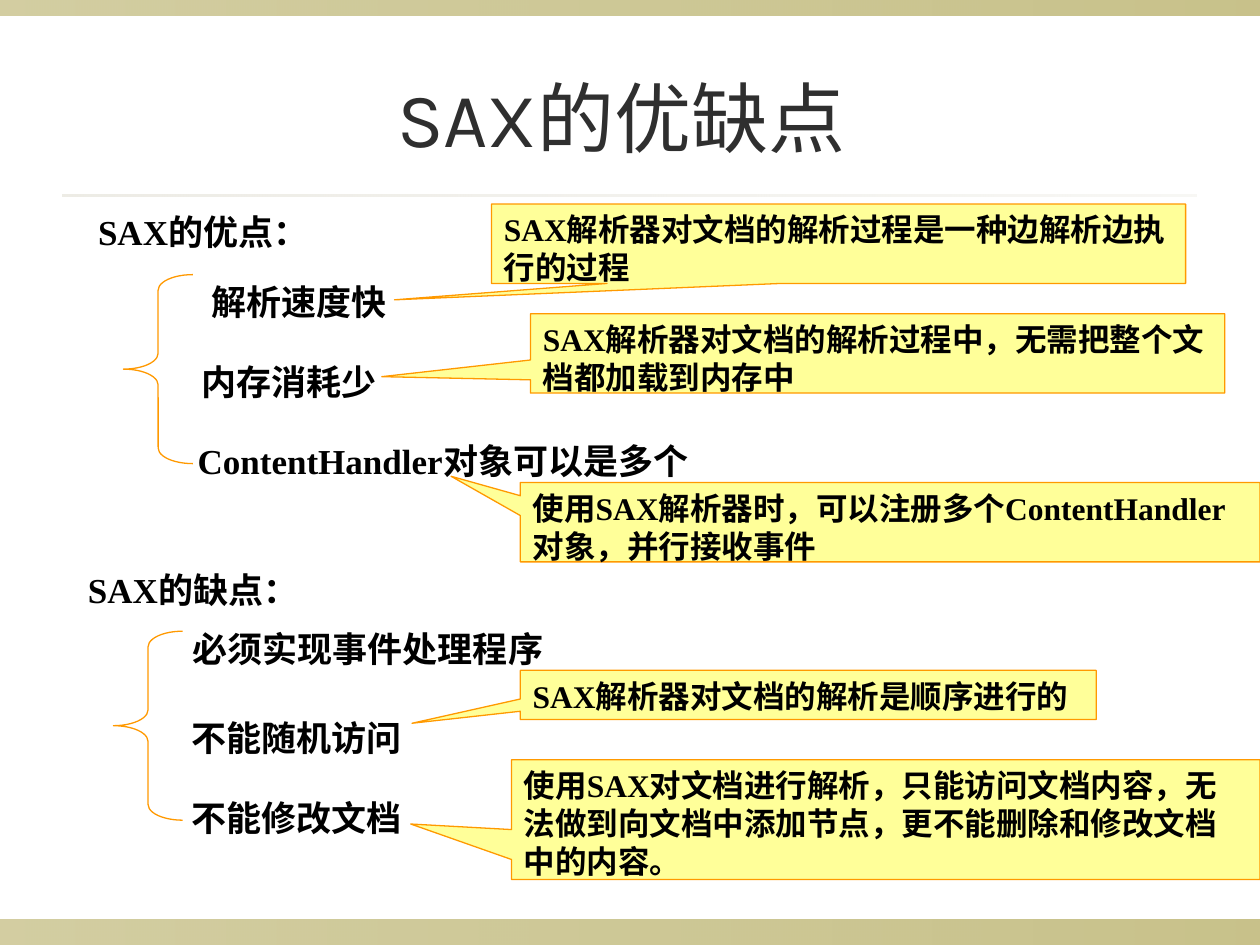
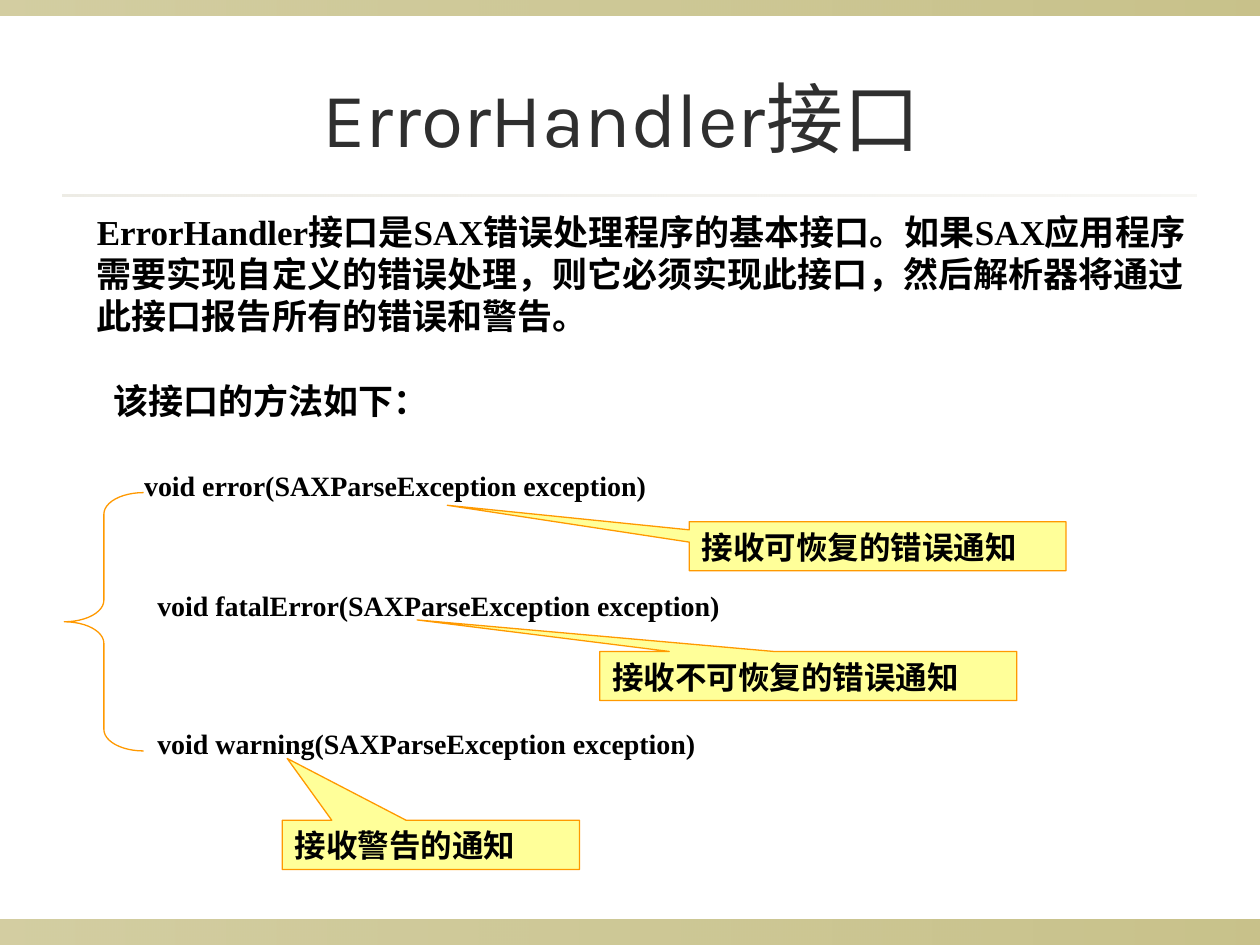
from lxml.etree import SubElement
from pptx import Presentation
from pptx.dml.color import RGBColor
from pptx.enum.shapes import MSO_SHAPE as Shape
from pptx.enum.text import MSO_ANCHOR as Anchor, MSO_AUTO_SIZE as AutoSize, PP_ALIGN as Align
from pptx.oxml.ns import qn
from pptx.util import Inches, Pt

# Shared look
GOLD, RULE, TITLE_INK, INK = "918415", "DCD9CC", "2F2F2F", "000000"
NOTE_FILL, NOTE_LINE = "FFFF99", "FF9900"
TITLE_FONT = {"name": "Karla", "size": Pt(44), "bold": False}
LABEL_FONT = {"name": "Times New Roman", "size": Pt(20), "bold": True}
CODE_FONT = {**LABEL_FONT, "size": Pt(16)}
NOTE_FONT = {**LABEL_FONT, "size": Pt(18)}
LABEL_FRAME = {"word_wrap": False, "auto_size": AutoSize.SHAPE_TO_FIT_TEXT}
PARAGRAPH_FRAME = {**LABEL_FRAME, "word_wrap": True}
NOTE_FRAME = {"word_wrap": True, "vertical_anchor": Anchor.TOP}
TITLE_FRAME = {"word_wrap": True, "vertical_anchor": Anchor.MIDDLE}


def paint(color, value):
    color.rgb = RGBColor.from_string(value)


def write(box, text, font, frame, ink=INK, align=Align.LEFT):
    for name, value in frame.items():
        setattr(box.text_frame, name, value)
    para = box.text_frame.paragraphs[0]
    para.alignment = align
    span = para.add_run()
    span.text = text
    for name, value in font.items():
        setattr(span.font, name, value)
    paint(span.font.color, ink)


# Slide content: labels (left, top, width, text, font, frame),
# braces (left, top, width, height),
# notes (left, top, width, height, tip x, tip y, text)
slides = [
    {
        "title": "SAX的优缺点 ",
        "labels": [
            (0.68, 1.62, 2.07, "SAX的优点：", LABEL_FONT, LABEL_FRAME),
            (1.58, 2.18, 1.73, "解析速度快", LABEL_FONT, LABEL_FRAME),
            (1.5, 2.81, 1.73, "内存消耗少", LABEL_FONT, LABEL_FRAME),
            (1.47, 3.44, 4.3, "ContentHandler对象可以是多个", LABEL_FONT, LABEL_FRAME),
            (0.6, 4.46, 2.07, "SAX的缺点：", LABEL_FONT, LABEL_FRAME),
            (1.43, 4.93, 3.12, "必须实现事件处理程序", LABEL_FONT, LABEL_FRAME),
            (1.42, 5.64, 2.01, "不能随机访问", LABEL_FONT, LABEL_FRAME),
            (1.42, 6.27, 2.01, "不能修改文档", LABEL_FONT, LABEL_FRAME),
        ],
        "braces": [(0.98, 2.18, 0.55, 1.5), (0.9, 5.01, 0.55, 1.5)],
        "notes": [
            (3.9, 1.62, 5.51, 0.63, 3.13, 2.38, "SAX解析器对文档的解析过程是一种边解析边执行的过程"),
            (4.21, 2.49, 5.51, 0.63, 3.03, 2.99, "SAX解析器对文档的解析过程中，无需把整个文档都加载到内存中"),
            (4.13, 3.83, 5.87, 0.63, 3.58, 3.78, "使用SAX解析器时，可以注册多个ContentHandler对象，并行接收事件"),
            (4.13, 5.32, 4.57, 0.39, 3.27, 5.74, "SAX解析器对文档的解析是顺序进行的"),
            (4.06, 6.03, 5.94, 0.95, 3.26, 6.54,
             "使用SAX对文档进行解析，只能访问文档内容，无法做到向文档中添加节点，更不能删除和修改文档中的内容。"),
        ],
    },
    {
        "title": "ErrorHandler接口 ",
        "labels": [
            (0.67, 1.62, 8.9,
             "ErrorHandler接口是SAX错误处理程序的基本接口。如果SAX应用程序需要实现自定义的错误处理，"
             "则它必须实现此接口，然后解析器将通过此接口报告所有的错误和警告。",
             LABEL_FONT, PARAGRAPH_FRAME),
            (0.8, 2.96, 2.84, "该接口的方法如下：", LABEL_FONT, LABEL_FRAME),
            (0.99, 3.67, 4.3, " void error(SAXParseException exception)", CODE_FONT, LABEL_FRAME),
            (1.15, 4.62, 4.72, "void fatalError(SAXParseException exception)", CODE_FONT, LABEL_FRAME),
            (1.15, 5.72, 4.53, "void warning(SAXParseException exception)", CODE_FONT, LABEL_FRAME),
        ],
        "braces": [(0.51, 3.91, 0.63, 2.05)],
        "notes": [
            (5.47, 4.14, 2.99, 0.39, 3.55, 4.01, "接收可恢复的错误通知"),
            (4.76, 5.17, 3.31, 0.39, 3.31, 4.92, "接收不可恢复的错误通知"),
            (2.24, 6.51, 2.36, 0.39, 2.28, 6.02, "接收警告的通知"),
        ],
    },
]

deck = Presentation()
deck.slide_width, deck.slide_height = Inches(10), Inches(7.5)
layout = deck.slide_layouts[5]
pages = [deck.slides.add_slide(layout) for _ in slides]

# Bands and title rule, drawn once and moved behind everything on the layout
for left, top, width, height, color, opacities in [
    (0, 7.3, 10, 0.2, GOLD, (40, 50)),
    (0, 0, 10, 0.12, GOLD, (40, 50)),
    (0.5, 1.54, 9, 0.02, RULE, (50, 20)),
]:
    band = pages[0].shapes.add_shape(
        Shape.RECTANGLE, Inches(left), Inches(top), Inches(width), Inches(height))
    band.shadow.inherit = False
    band.line.fill.background()
    band.fill.gradient()
    band.fill.gradient_angle = 0
    for stop in band.fill.gradient_stops:
        paint(stop.color, color)
    for tint, opacity in zip(band.element.findall(".//" + qn("a:srgbClr")), opacities):
        SubElement(tint, qn("a:alpha"), val=str(opacity * 1000))
    layout.shapes.element.insert(2, band.element)

for page, content in zip(pages, slides):
    # Title
    title = page.shapes.title
    title.left, title.top, title.width, title.height = map(Inches, (0.5, 0.3, 9, 1.25))
    write(title, content["title"], TITLE_FONT, TITLE_FRAME, TITLE_INK, Align.CENTER)

    # Labels
    for left, top, width, text, font, frame in content["labels"]:
        height = 1.1 if frame is PARAGRAPH_FRAME else 0.37 if font is CODE_FONT else 0.44
        label = page.shapes.add_textbox(Inches(left), Inches(top), Inches(width), Inches(height))
        write(label, text, font, frame)

    # Braces, with curves a twelfth of the height
    for left, top, width, height in content["braces"]:
        brace = page.shapes.add_shape(
            Shape.LEFT_BRACE, Inches(left), Inches(top), Inches(width), Inches(height))
        brace.adjustments[0] = height / 12 / width
        brace.shadow.inherit = False
        brace.fill.background()
        paint(brace.line.color, NOTE_LINE)
        brace.line.width = Pt(0.75)

    # Callout notes, with the tip measured from the middle of the box
    for left, top, width, height, tip_x, tip_y, text in content["notes"]:
        note = page.shapes.add_shape(
            Shape.RECTANGULAR_CALLOUT, Inches(left), Inches(top), Inches(width), Inches(height))
        note.adjustments[0] = (tip_x - left) / width - 0.5
        note.adjustments[1] = (tip_y - top) / height - 0.5
        note.shadow.inherit = False
        note.fill.solid()
        paint(note.fill.fore_color, NOTE_FILL)
        paint(note.line.color, NOTE_LINE)
        note.line.width = Pt(0.75)
        write(note, text, NOTE_FONT, NOTE_FRAME)

deck.save("out.pptx")
